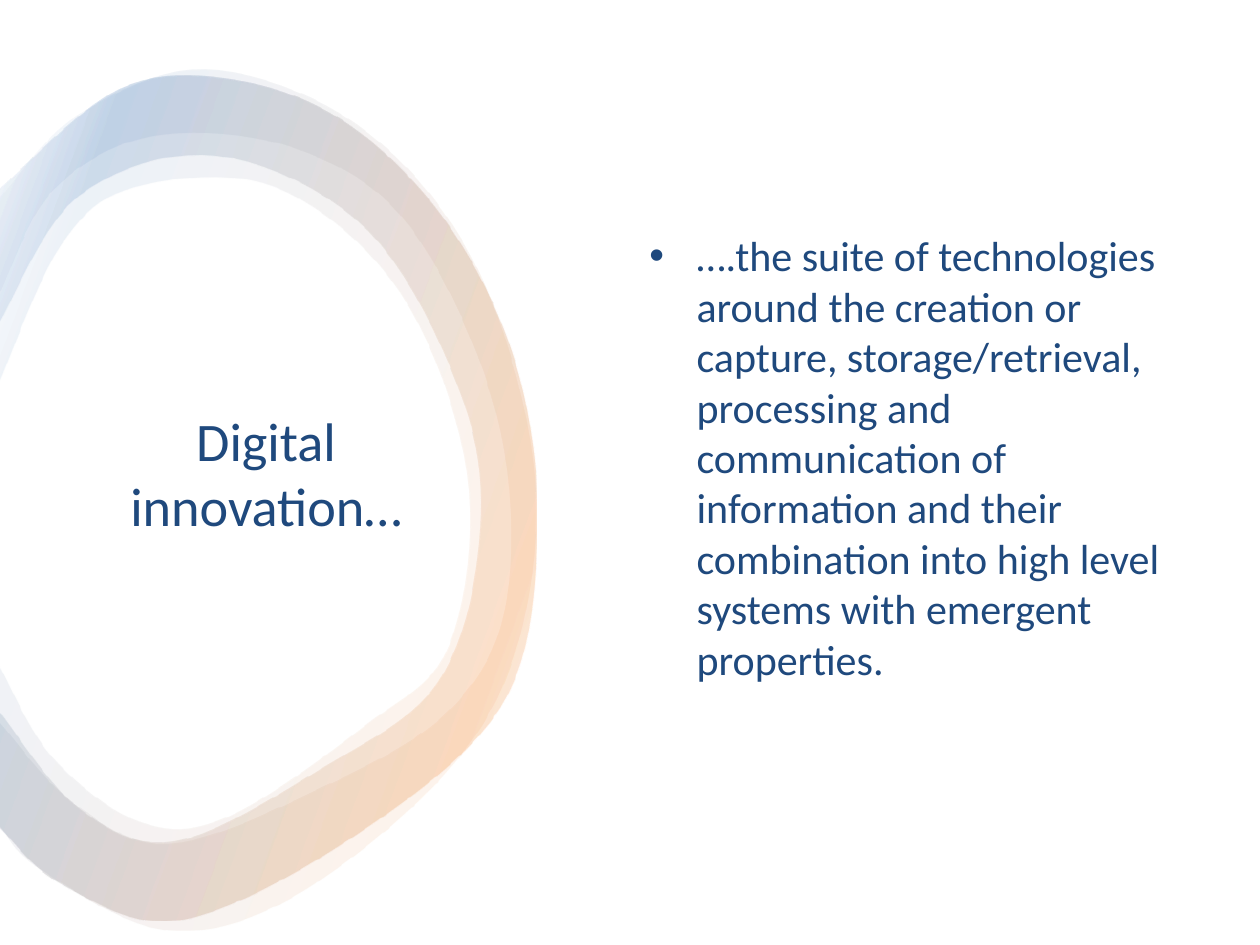
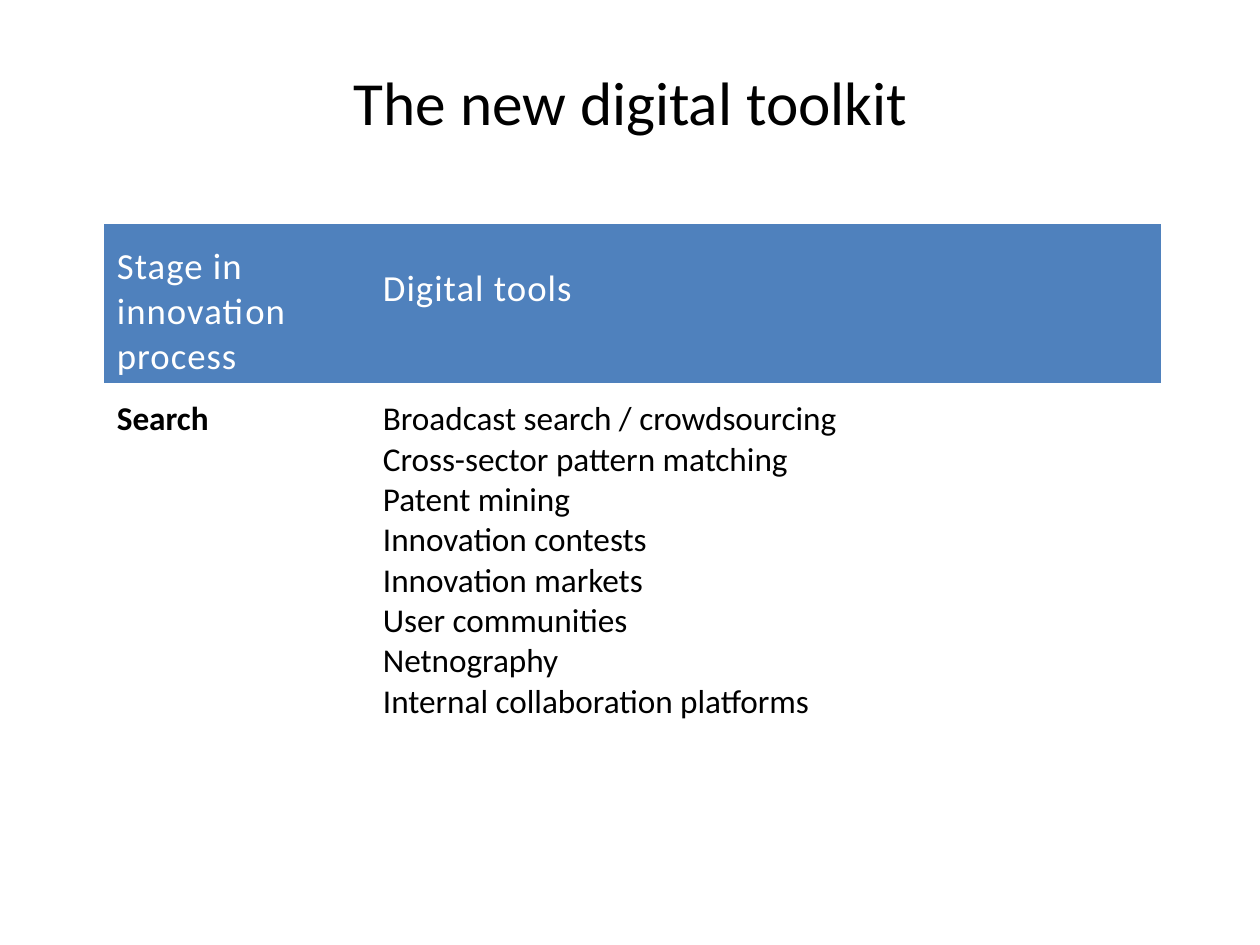
import dataclasses
import pptx
import pptx.dml.color
import pptx.enum.text
import pptx.oxml
import pptx.oxml.ns
import pptx.util

Pt = pptx.util.Pt
Align = pptx.enum.text.PP_ALIGN
Anchor = pptx.enum.text.MSO_ANCHOR
Point = tuple[float, float]

HUES = {"navy": "1F497D", "blue": "4F81BD", "orange": "F79646", "white": "FFFFFF", "black": "000000"}
FONT = "Calibri"
STOPS = [(2, "white"), (16, "orange"), (85, "blue"), (100, "white")]
ALPHA = 10
ANGLE = 200
STEPS = 10
PLAIN = "{2D5ABB26-0587-4C30-8999-92F81FD0307C}"
TOOLS = [
    "Broadcast search / crowdsourcing",
    "Cross-sector pattern matching",
    "Patent mining",
    "Innovation contests",
    "Innovation markets",
    "User communities",
    "Netnography",
    "Internal collaboration platforms",
]


@dataclasses.dataclass
class Ring:
    outer: list[Point]
    inner: list[Point]


@dataclasses.dataclass
class Label:
    text: str
    box: tuple[float, float, float, float]
    size: float
    hue: str
    align: Align = Align.CENTER
    dot: bool = False


@dataclasses.dataclass
class Cell:
    lines: list[str]
    size: float
    hue: str
    fill: str = ""
    bold: bool = False
    track: int = 0
    anchor: Anchor = Anchor.TOP
    base: float = 0


HALO = Ring(
    [(0, 113), (44, 66), (117, 40), (203, 71), (269, 147), (304, 262),
     (296, 366), (254, 442), (166, 513), (93, 531), (22, 496), (0, 472)],
    [(0, 413), (41, 458), (96, 482), (181, 451), (256, 406), (289, 342),
     (283, 236), (234, 130), (168, 85), (87, 78), (30, 109), (0, 167)],
)
BAND = Ring(
    [(0, 108), (68, 51), (135, 46), (200, 72), (258, 132), (296, 215),
     (306, 312), (285, 404), (202, 477), (103, 525), (36, 505), (0, 472)],
    [(0, 406), (45, 461), (100, 480), (184, 438), (249, 390), (273, 310),
     (264, 229), (210, 132), (124, 89), (45, 112), (0, 184)],
)
BROAD = Ring(
    BAND.outer,
    [(0, 380), (30, 432), (80, 469), (130, 466), (208, 414), (256, 368),
     (266, 270), (228, 167), (157, 107), (77, 107), (35, 140), (0, 218)],
)


def apply(target: object, values: dict) -> None:
    for name, value in values.items():
        setattr(target, name, value)


def tint(hue: str) -> pptx.dml.color.RGBColor:
    return pptx.dml.color.RGBColor.from_string(HUES[hue])


def style(font: object, size: float, hue: str, bold: bool = False) -> None:
    apply(font, {"name": FONT, "size": Pt(size), "bold": bold})
    font.color.rgb = tint(hue)


def smooth(knots: list[Point]) -> list[Point]:
    ends = [knots[0], *knots, knots[-1]]
    curve = [knots[0]]
    for a, b, c, d in zip(ends, ends[1:], ends[2:], ends[3:]):
        for step in range(1, STEPS + 1):
            t = step / STEPS
            x, y = (
                q + t / 2 * (r - p + t * (2 * p - 5 * q + 4 * r - s + t * (3 * (q - r) + s - p)))
                for p, q, r, s in zip(a, b, c, d)
            )
            curve.append((max(x, 0), y))
    return curve


def blend() -> object:
    stops = "".join(
        f'<a:gs pos="{pos * 1000}"><a:srgbClr val="{HUES[hue]}">'
        f'<a:alpha val="{ALPHA * 1000}"/></a:srgbClr></a:gs>'
        for pos, hue in STOPS
    )
    return pptx.oxml.parse_xml(
        f'<a:gradFill {pptx.oxml.ns.nsdecls("a")} rotWithShape="1"><a:gsLst>{stops}</a:gsLst>'
        f'<a:lin ang="{ANGLE * 60000}" scaled="0"/></a:gradFill>'
    )


def draw_ring(slide: object, ring: Ring) -> None:
    spots = [(Pt(x), Pt(y)) for x, y in smooth(ring.outer) + smooth(ring.inner)]
    pen = slide.shapes.build_freeform(*spots[0])
    pen.add_line_segments(spots[1:], close=True)
    shape = pen.convert_to_shape()
    shape.shadow.inherit = False
    shape.line.fill.background()
    shape.fill.background()
    props = shape._element.spPr
    props.replace(props.find(pptx.oxml.ns.qn("a:noFill")), blend())


def draw_label(slide: object, label: Label) -> None:
    frame = slide.shapes.add_textbox(*map(Pt, label.box)).text_frame
    apply(frame, {"word_wrap": True, "vertical_anchor": Anchor.MIDDLE})
    para = frame.paragraphs[0]
    para.alignment = label.align
    if label.dot:
        para.line_spacing = Pt(28.8)
        props = para._p.get_or_add_pPr()
        props.set("marL", str(Pt(27)))
        props.set("indent", str(Pt(-27)))
        for tag in ('buFont {} typeface="Arial"', 'buChar {} char="•"'):
            props.append(pptx.oxml.parse_xml(f'<a:{tag.format(pptx.oxml.ns.nsdecls("a"))}/>'))
    run = para.add_run()
    run.text = label.text
    style(run.font, label.size, label.hue)


def fill_cell(cell: object, data: Cell) -> None:
    apply(cell, {
        "margin_left": Pt(7.2), "margin_right": Pt(7.2), "margin_top": Pt(9.2),
        "margin_bottom": Pt(data.base), "vertical_anchor": data.anchor,
    })
    if data.fill:
        cell.fill.solid()
        cell.fill.fore_color.rgb = tint(data.fill)
    else:
        cell.fill.background()
    cell.text = "\n".join(data.lines)
    for para in cell.text_frame.paragraphs:
        for run in para.runs:
            style(run.font, data.size, data.hue, data.bold)
            run._r.get_or_add_rPr().set("spc", str(data.track))


def draw_table(slide: object, rows: list[list[Cell]]) -> None:
    widths, heights = (152, 452), (91, 216)
    frame = slide.shapes.add_table(
        len(rows), len(widths), Pt(59.6), Pt(128), Pt(sum(widths)), Pt(sum(heights)))
    table = frame.table
    table._tbl.tblPr.find(pptx.oxml.ns.qn("a:tableStyleId")).text = PLAIN
    for col, width in zip(table.columns, widths):
        col.width = Pt(width)
    for row, height, cells in zip(table.rows, heights, rows):
        row.height = Pt(height)
        for cell, data in zip(row.cells, cells):
            fill_cell(cell, data)


def main() -> None:
    deck = pptx.Presentation()
    apply(deck, {"slide_width": Pt(720), "slide_height": Pt(540)})
    intro, kit = (deck.slides.add_slide(deck.slide_layouts[6]) for _ in range(2))

    for ring in (HALO, BAND, BROAD, BAND):
        draw_ring(intro, ring)
    draw_label(intro, Label("Digital innovation…", (38, 98, 228, 344), 31, "navy"))
    draw_label(intro, Label(
        "….the suite of technologies around the creation or capture, storage/retrieval, "
        "processing and communication of information and their combination into high level "
        "systems with emergent properties.",
        (364, 63, 308, 396), 24, "navy", Align.LEFT, True))

    draw_label(kit, Label("The new digital toolkit", (60, 14, 601, 88), 35, "black"))
    head = {"size": 21, "hue": "white", "fill": "blue", "track": 60, "anchor": Anchor.MIDDLE}
    body = {"size": 19, "hue": "black"}
    draw_table(kit, [
        [Cell(["Stage in innovation process"], **head), Cell(["Digital tools"], base=25.6, **head)],
        [Cell(["Search"], bold=True, **body), Cell(TOOLS, **body)],
    ])
    deck.save("out.pptx")


if __name__ == "__main__":
    main()
